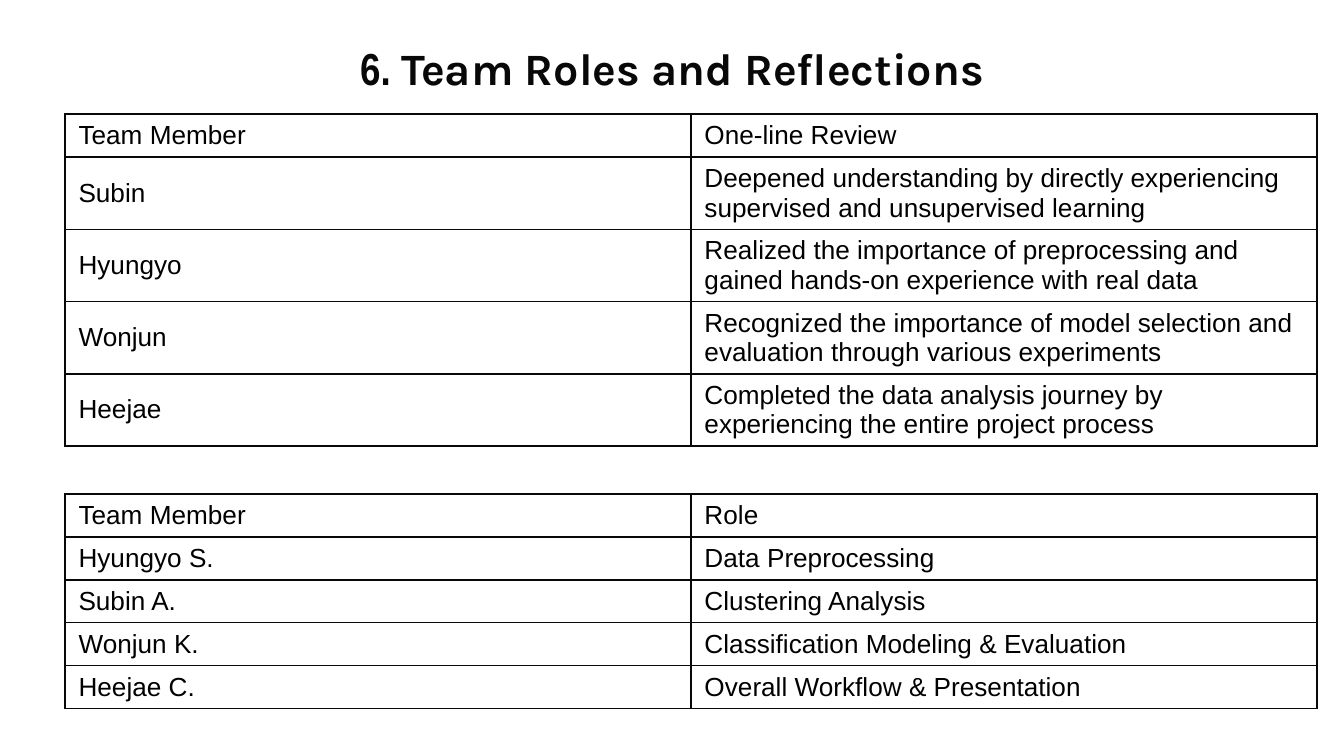
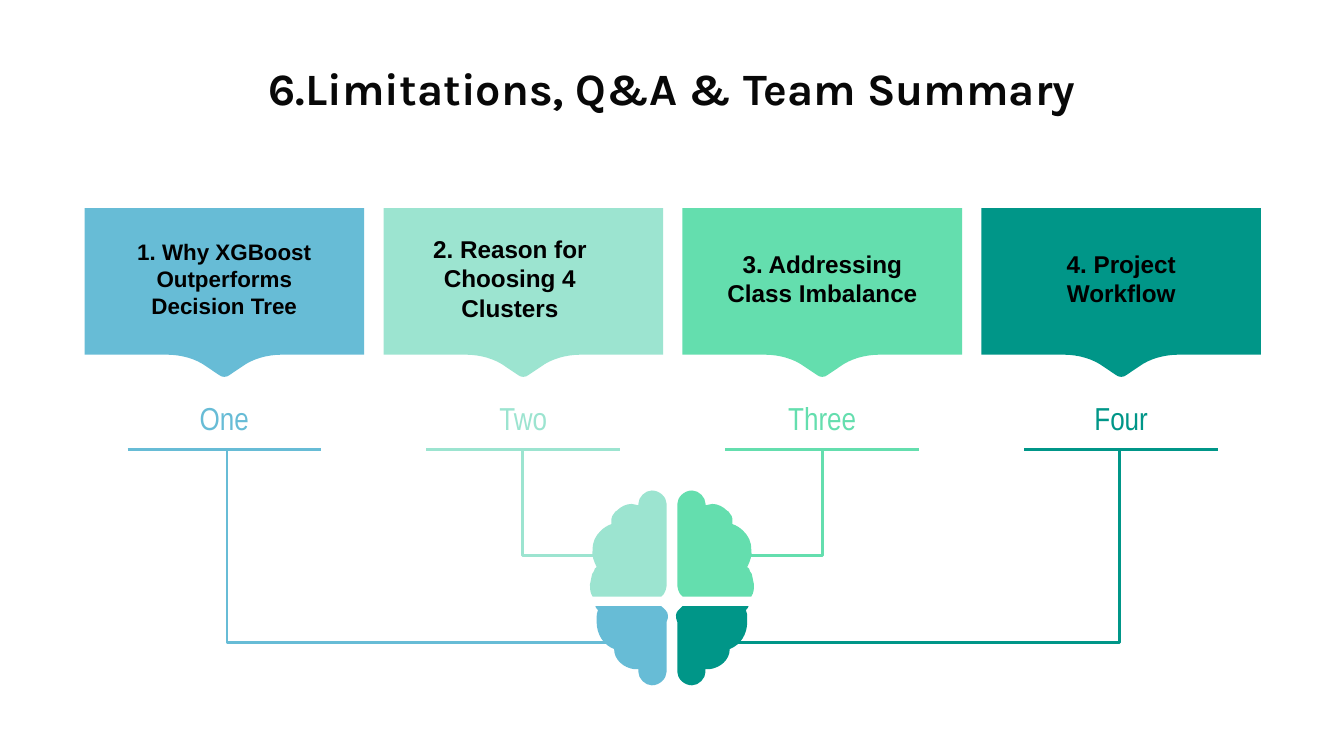
from pptx import Presentation
from pptx.dml.color import RGBColor
from pptx.enum.shapes import MSO_CONNECTOR
from pptx.enum.text import MSO_ANCHOR, MSO_AUTO_SIZE, PP_ALIGN
from pptx.oxml.ns import qn
from pptx.util import Cm, Pt
from lxml.etree import SubElement

INK = "080808"
BLACK = "000000"
BLUE, PALE, MINT, TEAL = "67BCD6", "9CE4D0", "64DEAE", "009688"

REVIEWS = [
    ("Team Member", "One-line Review"),
    ("Subin", "Deepened understanding by directly experiencing supervised and unsupervised learning"),
    ("Hyungyo", "Realized the importance of preprocessing and gained hands-on experience with real data"),
    ("Wonjun", "Recognized the importance of model selection and evaluation through various experiments"),
    ("Heejae", "Completed the data analysis journey by experiencing the entire project process"),
]
ROLES = [
    ("Team Member", "Role"),
    ("Hyungyo S.", "Data Preprocessing"),
    ("Subin A.", "Clustering Analysis"),
    ("Wonjun K.", "Classification Modeling & Evaluation"),
    ("Heejae C.", "Overall Workflow & Presentation"),
]

TOPICS = [
    ("1. Why XGBoost Outperforms Decision Tree", 12, 0.76, "One", BLUE, 4.29, 11.46, 12.14),
    ("2. Reason for Choosing 4 Clusters", 13, 0.25, "Two", PALE, 9.88, 11.28, 10.5),
    ("3. Addressing Class Imbalance", 13, 0.76, "Three", MINT, 15.54, 14.12, 10.5),
    ("4. Project Workflow", 13, 0.76, "Four", TEAL, 21.16, 13.89, 12.14),
]
FIRST_CENTER, COLUMN_STEP = 4.24, 5.65
COLUMN_WIDTH, RULE_WIDTH, RULE_TOP = 5.33, 3.66, 8.49

PATH_UNIT = Cm(0.0254)
CALLOUT = [
    (-104, 155), (-104, 264), (-43, 264), (-32, 264, -21, 267, -13, 273), (-4, 279),
    (-2, 281, 2, 281, 4, 279), (13, 273), (21, 267, 32, 264, 43, 264), (104, 264), (104, 155),
]
UPPER_LOBE = [
    (-15, 365), (-20, 365, -25, 370, -25, 375), (-25, 376),
    (-27, 375, -28, 375, -30, 375), (-34, 375, -38, 377, -41, 380),
    (-42, 380, -42, 381, -43, 382), (-44, 383, -45, 385, -45, 386),
    (-45, 388, -45, 389, -45, 390), (-48, 391, -51, 393, -53, 395),
    (-57, 399, -59, 403, -59, 409), (-60, 413, -58, 418, -56, 422),
    (-57, 422, -58, 424, -58, 425), (-59, 426, -60, 428, -60, 430),
    (-61, 432, -61, 433, -61, 435), (-61, 438, -61, 441, -59, 444),
    (-8, 444), (-6, 442), (-5, 440, -4, 438, -4, 436), (-4, 375),
    (-4, 370, -9, 365, -15, 365),
]
LOWER_LOBE = [
    (-57, 451), (-57, 452, -56, 453, -55, 454), (-56, 456, -56, 458, -56, 460),
    (-56, 461, -56, 462, -56, 463), (-56, 472, -51, 480, -43, 483),
    (-43, 491, -36, 497, -28, 498), (-25, 498), (-25, 500),
    (-25, 505, -20, 510, -15, 510), (-9, 510, -4, 505, -4, 500), (-4, 463),
    (-3, 461, -3, 459, -3, 458), (-3, 455, -6, 453, -8, 451),
]


def color(value):
    return RGBColor.from_string(value)


def write(paragraph, text, font="Arial", size=14, ink=BLACK, bold=False, align=PP_ALIGN.LEFT):
    paragraph.alignment = align
    run = paragraph.add_run()
    run.text = text
    run.font.name = font
    run.font.size = Pt(size)
    run.font.bold = bold
    run.font.color.rgb = color(ink)


def add_title(slide, top, *runs):
    title = slide.shapes.title
    title.left, title.top, title.width, title.height = Cm(0.5), Cm(top), Cm(24.4), Cm(1.6)
    frame = title.text_frame
    frame.auto_size = MSO_AUTO_SIZE.NONE
    frame.vertical_anchor = MSO_ANCHOR.TOP
    frame.margin_top = frame.margin_bottom = Cm(0.25)
    for text, font in runs:
        write(frame.paragraphs[0], text, font=font, size=24, ink=INK, bold=True, align=PP_ALIGN.CENTER)


def add_label(slide, text, center, top, height, left_inset=0.25, right_inset=0.25,
              anchor=MSO_ANCHOR.TOP, **style):
    box = slide.shapes.add_textbox(Cm(center - COLUMN_WIDTH / 2), Cm(top), Cm(COLUMN_WIDTH), Cm(height))
    frame = box.text_frame
    frame.word_wrap = True
    frame.vertical_anchor = anchor
    frame.margin_left, frame.margin_right = Cm(left_inset), Cm(right_inset)
    frame.margin_top = frame.margin_bottom = Cm(0.25)
    write(frame.paragraphs[0], text, align=PP_ALIGN.CENTER, **style)


def add_borders(cell):
    properties = cell._tc.get_or_add_tcPr()
    for position, side in enumerate(("lnL", "lnR", "lnT", "lnB")):
        line = SubElement(properties, qn(f"a:{side}"), w=str(Pt(1)))
        fill = SubElement(line, qn("a:solidFill"))
        SubElement(fill, qn("a:srgbClr"), val=INK)
        properties.insert(position, line)


def add_grid(slide, rows, top, header_height, row_height):
    height = header_height + row_height * (len(rows) - 1)
    frame = slide.shapes.add_table(len(rows), 2, Cm(1.23), Cm(top), Cm(23.66), Cm(height))
    table = frame.table
    table.first_row = table.horz_banding = False
    for index, texts in enumerate(rows):
        table.rows[index].height = Cm(row_height if index else header_height)
        for column, text in enumerate(texts):
            cell = table.cell(index, column)
            cell.fill.background()
            cell.vertical_anchor = MSO_ANCHOR.MIDDLE
            write(cell.text_frame.paragraphs[0], text)
            add_borders(cell)


def bend_segments(shape, segments):
    lines = list(shape._element.iter(qn("a:lnTo")))
    for line, points in zip(lines, segments):
        if len(points) == 1:
            continue
        curve = SubElement(line.getparent(), qn("a:cubicBezTo"))
        for x, y in points:
            SubElement(curve, qn("a:pt"), x=str(x - shape.left), y=str(y - shape.top))
        line.getparent().replace(line, curve)


def add_outline(slide, outline, center, fill, mirror=1):
    segments = [
        [(Cm(center) + mirror * x * PATH_UNIT, y * PATH_UNIT) for x, y in zip(values[::2], values[1::2])]
        for values in outline
    ]
    builder = slide.shapes.build_freeform(*segments[0][0])
    builder.add_line_segments([points[-1] for points in segments[1:]], close=True)
    shape = builder.convert_to_shape()
    bend_segments(shape, segments[1:])
    shape.shadow.inherit = False
    shape.fill.solid()
    shape.fill.fore_color.rgb = color(fill)
    shape.line.fill.background()


def add_line(slide, kind, start, end, ink):
    connector = slide.shapes.add_connector(kind, *(Cm(value) for value in start + end))
    connector.line.color.rgb = color(ink)
    connector.line.width = Pt(1.5)
    SubElement(connector._element.spPr, qn("a:effectLst"))
    return connector


def add_elbow(slide, start, end, ink):
    connector = add_line(slide, MSO_CONNECTOR.ELBOW, start, end, ink)
    adjustments = connector._element.spPr.find(qn("a:prstGeom")).find(qn("a:avLst"))
    SubElement(adjustments, qn("a:gd"), name="adj1", fmla="val 0")


def add_topic(slide, index, topic):
    text, size, inset, label, ink, elbow_start, elbow_end, elbow_bottom = topic
    center = FIRST_CENTER + index * COLUMN_STEP
    add_outline(slide, CALLOUT, center, ink)
    add_label(slide, text, center, 4.56, 1.4, left_inset=inset, right_inset=0.76,
              anchor=MSO_ANCHOR.MIDDLE, size=size, bold=True)
    add_label(slide, label, center, 7.29, 1.19, font="Arial Narrow", size=17, ink=ink)
    add_line(slide, MSO_CONNECTOR.STRAIGHT, (center - RULE_WIDTH / 2, RULE_TOP),
             (center + RULE_WIDTH / 2, RULE_TOP), ink)
    add_elbow(slide, (elbow_start, RULE_TOP), (elbow_end, elbow_bottom), ink)


def add_brain(slide):
    for outline, left_fill, right_fill in ((UPPER_LOBE, PALE, MINT), (LOWER_LOBE, BLUE, TEAL)):
        add_outline(slide, outline, 12.7, left_fill)
        add_outline(slide, outline, 12.7, right_fill, mirror=-1)


def add_roles_slide(presentation):
    slide = presentation.slides.add_slide(presentation.slide_layouts[5])
    add_title(slide, 0.52, ("6. ", "Arial Narrow"), ("Team Roles and Reflections", "Karla"))
    add_grid(slide, ROLES, 9.34, 0.81, 0.81)
    add_grid(slide, REVIEWS, 2.16, 0.81, 1.36)


def add_summary_slide(presentation):
    slide = presentation.slides.add_slide(presentation.slide_layouts[5])
    add_title(slide, 0.89, ("6.Limitations, Q&A & Team Summary", "Karla"))
    for index, topic in enumerate(TOPICS):
        add_topic(slide, index, topic)
    add_brain(slide)


def main():
    presentation = Presentation()
    presentation.slide_width, presentation.slide_height = Cm(25.4), Cm(14.29)
    add_roles_slide(presentation)
    add_summary_slide(presentation)
    presentation.save("out.pptx")


if __name__ == "__main__":
    main()
